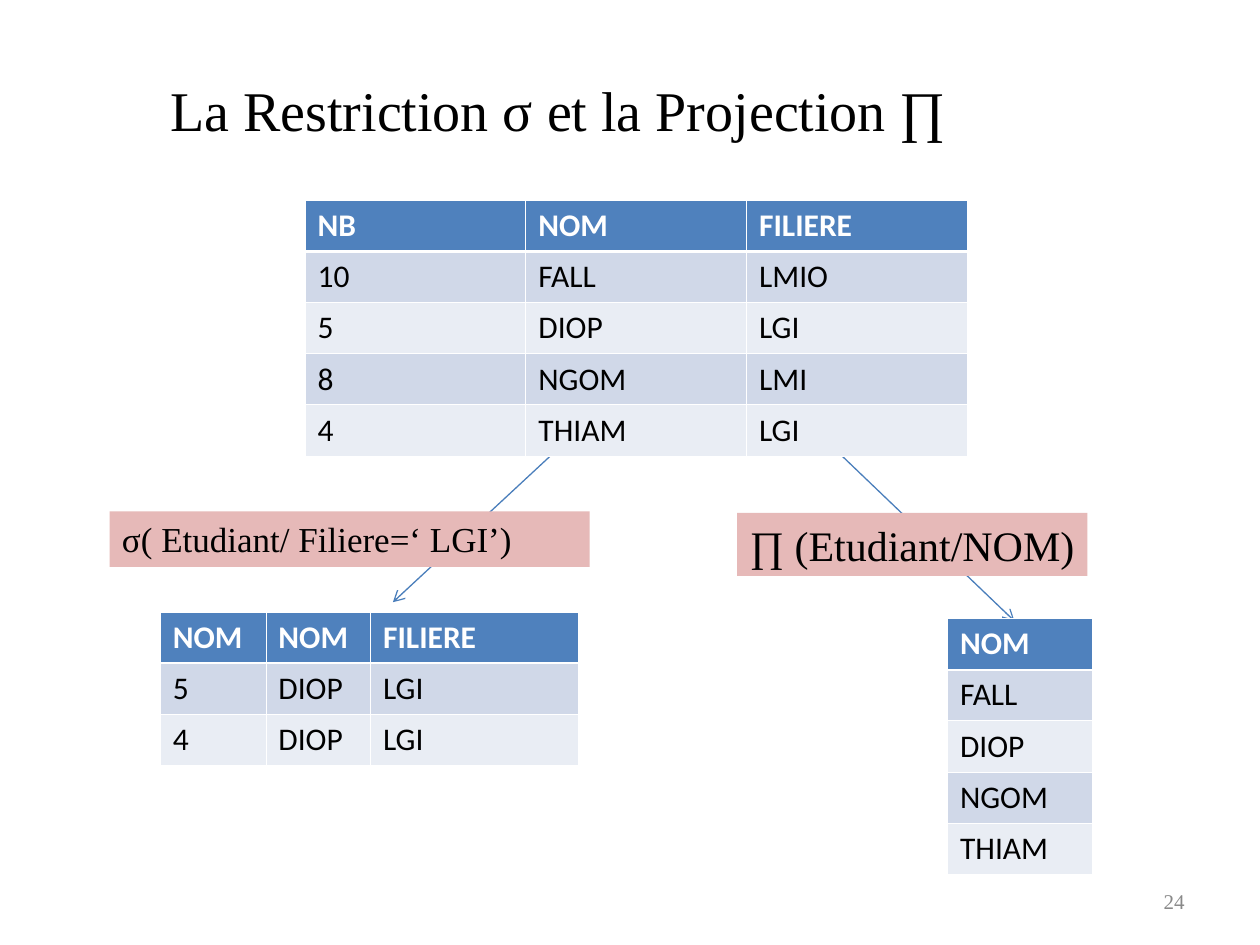
from lxml.etree import SubElement as Sub
from pptx import Presentation
from pptx.dml.color import RGBColor as Rgb
from pptx.enum.shapes import MSO_CONNECTOR as Link, MSO_SHAPE as Shape
from pptx.enum.text import MSO_ANCHOR as Anchor, MSO_AUTO_SIZE as Fit, PP_ALIGN as Align
from pptx.oxml.ns import qn
from pptx.util import Cm, Pt

HUES = {
    "ink": "000000", "white": "FFFFFF", "head": "4F81BD", "odd": "D0D8E8",
    "even": "E9EDF4", "label": "E6B9B8", "arrow": "4A7EBB", "page": "898989",
}
SERIF, SANS = "Times New Roman", "Calibri"
ROW = 1.03
THIN, THICK = 0.45, 1.47

TITLE = "La Restriction σ et la Projection ∏"
PAGE = "24"

# left, top, column widths, rows
TABLES = [
    (6.15, 4.04, [4.45, 4.45, 4.45], [
        ("NB", "NOM", "FILIERE"),
        ("10", "FALL", "LMIO"),
        ("5", "DIOP", "LGI"),
        ("8", "NGOM", "LMI"),
        ("4", "THIAM", "LGI"),
    ]),
    (3.23, 12.34, [2.13, 2.11, 4.19], [
        ("NOM", "NOM", "FILIERE"),
        ("5", "DIOP", "LGI"),
        ("4", "DIOP", "LGI"),
    ]),
    (19.1, 12.47, [2.92], [
        ("NOM",), ("FALL",), ("DIOP",), ("NGOM",), ("THIAM",),
    ]),
]
# text, size, wrap, left, top, width, height
LABELS = [
    ("σ( Etudiant/ Filiere=‘ LGI’)", 20, True, 2.21, 10.31, 9.68, 1.12),
    ("∏ (Etudiant/NOM)", 24, False, 14.86, 10.34, 7.06, 1.27),
]
# start x, start y, end x, end y
ARROWS = [(16.92, 9.14, 20.45, 12.52), (11.15, 9.14, 7.92, 12.14)]


def hue(name):
    return Rgb.from_string(HUES[name])


def write(frame, text, size, font, ink, bold=False, align=Align.LEFT):
    para = frame.paragraphs[0]
    para.alignment = align
    run = para.add_run()
    run.text = text
    face = run.font
    face.size, face.name, face.bold = Pt(size), font, bold
    face.color.rgb = hue(ink)


def add_arrow(slide, ends):
    line = slide.shapes.add_connector(Link.STRAIGHT, *map(Cm, ends))
    line.line.color.rgb = hue("arrow")
    line.line.width = Pt(0.75)
    Sub(line.line._get_or_add_ln(), qn("a:tailEnd"), type="arrow")
    Sub(line._element.spPr, qn("a:effectLst"))


def edge(cell, widths):
    """Draw white borders; widths are in the order left, right, top, bottom."""
    props = cell._tc.get_or_add_tcPr()
    for at, (side, width) in enumerate(zip("LRTB", widths)):
        line = props.makeelement(qn(f"a:ln{side}"), {"w": str(Pt(width))})
        fill = Sub(line, qn("a:solidFill"))
        Sub(fill, qn("a:srgbClr"), val=HUES["white"])
        props.insert(at, line)


def add_grid(slide, left, top, cols, rows):
    frame = slide.shapes.add_table(
        len(rows), len(cols), Cm(left), Cm(top), Cm(sum(cols)), Cm(ROW * len(rows)))
    grid = frame.table
    for col, width in zip(grid.columns, cols):
        col.width = Cm(width)
    for i, row in enumerate(rows):
        grid.rows[i].height = Cm(ROW)
        head = i == 0
        tone = "head" if head else ("even", "odd")[i % 2]
        above = THICK if i == 1 else THIN
        below = THICK if head else THIN
        for j, text in enumerate(row):
            cell = grid.cell(i, j)
            cell.fill.solid()
            cell.fill.fore_color.rgb = hue(tone)
            edge(cell, (THIN, THIN, above, below))
            write(cell.text_frame, text, 18, SANS, "white" if head else "ink", head)


def add_label(slide, text, size, wrap, *box):
    label = slide.shapes.add_shape(Shape.RECTANGLE, *map(Cm, box))
    label.shadow.inherit = False
    label.fill.solid()
    label.fill.fore_color.rgb = hue("label")
    label.line.fill.background()
    frame = label.text_frame
    frame.word_wrap = wrap
    frame.auto_size = Fit.SHAPE_TO_FIT_TEXT
    frame.vertical_anchor = Anchor.TOP
    write(frame, text, size, SERIF, "ink")


def add_title(slide):
    title = slide.shapes.title
    title.left, title.top = Cm(3.18), Cm(1.4)
    title.width, title.height = Cm(17.91), Cm(1.63)
    frame = title.text_frame
    frame.auto_size = Fit.NONE
    frame.vertical_anchor = Anchor.TOP
    write(frame, TITLE, 32, SERIF, "ink")


def add_page(slide):
    box = slide.shapes.add_textbox(Cm(18.21), Cm(17.65), Cm(5.92), Cm(1.02))
    frame = box.text_frame
    frame.word_wrap = True
    frame.vertical_anchor = Anchor.MIDDLE
    write(frame, PAGE, 12, SERIF, "page", align=Align.RIGHT)


def main():
    deck = Presentation()
    deck.slide_width, deck.slide_height = Cm(25.4), Cm(19.05)
    slide = deck.slides.add_slide(deck.slide_layouts[5])
    add_title(slide)
    for ends in ARROWS:
        add_arrow(slide, ends)
    add_page(slide)
    for table in TABLES:
        add_grid(slide, *table)
    for label in LABELS:
        add_label(slide, *label)
    deck.save("out.pptx")


if __name__ == "__main__":
    main()
